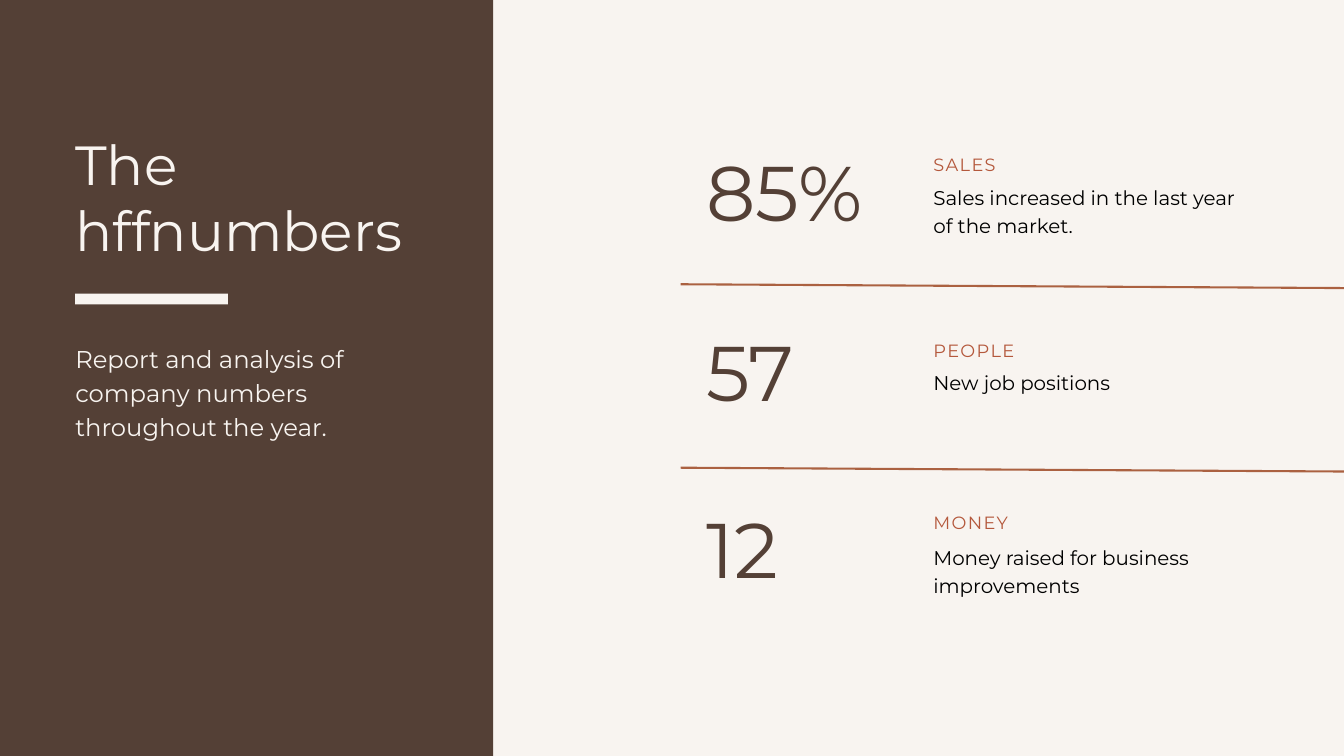
from lxml.etree import SubElement
from pptx import Presentation
from pptx.dml.color import RGBColor
from pptx.enum.shapes import MSO_CONNECTOR, MSO_SHAPE
from pptx.enum.text import MSO_AUTO_SIZE
from pptx.oxml.ns import qn
from pptx.util import Emu, Pt

PX = 9144
BROWN = RGBColor(0x54, 0x40, 0x36)
CREAM = RGBColor(0xF8, 0xF4, 0xF0)
RUST = RGBColor(0xAB, 0x61, 0x41)
TERRACOTTA = RGBColor(0xB4, 0x58, 0x3C)
BLACK = RGBColor(0, 0, 0)

LEFT_MARGIN = 112
FIGURE_LEFT = 1051
DETAIL_LEFT = 1389
RULE_LEFT, RULE_RIGHT, RULE_DROP = 1013, 2053, 6
RULE_TOPS = (423, 696)

METRICS = (
    ("85%", 192, "SALES", 221,
     "Sales increased in the last year of the market.", 271, 79),
    ("57", 459, "PEOPLE", 498, "New job positions", 546, 39),
    ("12", 722, "MONEY", 754,
     "Money raised for business improvements", 806, 79),
)


def px(*lengths):
    return [Emu(length * PX) for length in lengths]


def add_block(slide, box, color):
    block = slide.shapes.add_shape(MSO_SHAPE.RECTANGLE, *px(*box))
    block.shadow.inherit = False
    block.fill.solid()
    block.fill.fore_color.rgb = color
    block.line.fill.background()


def add_text(slide, box, text, size, leading, color, tracking=None):
    frame = slide.shapes.add_textbox(*px(*box)).text_frame
    frame.margin_left = frame.margin_top = 0
    frame.margin_right = frame.margin_bottom = 0
    frame.word_wrap = True
    frame.auto_size = MSO_AUTO_SIZE.SHAPE_TO_FIT_TEXT
    paragraph = frame.paragraphs[0]
    run = paragraph.add_run()
    run.text = text
    if tracking:
        run._r.get_or_add_rPr().set("spc", str(tracking))
    paragraph.line_spacing = Pt(leading)
    paragraph.font.name = "Montserrat"
    paragraph.font.size = Pt(size)
    paragraph.font.color.rgb = color


def add_rule(slide, top):
    rule = slide.shapes.add_connector(
        MSO_CONNECTOR.STRAIGHT,
        *px(RULE_LEFT, top, RULE_RIGHT, top + RULE_DROP))
    rule.line.color.rgb = RUST
    rule.line.width = Pt(2.25)
    SubElement(rule._element.spPr, qn("a:effectLst"))


def add_metric(slide, figure, figure_top, label, label_top,
               detail, detail_top, detail_height):
    add_text(slide, (FIGURE_LEFT, figure_top, 345, 150),
             figure, 82.9, 116.1, BROWN)
    add_text(slide, (DETAIL_LEFT, detail_top, 477, detail_height),
             detail, 21.3, 29.8, BLACK)
    add_text(slide, (DETAIL_LEFT, label_top, 380, 37),
             label, 19, 28.2, TERRACOTTA, tracking=150)


def main():
    presentation = Presentation()
    presentation.slide_width, presentation.slide_height = px(2000, 1125)
    slide = presentation.slides.add_slide(presentation.slide_layouts[6])
    slide.background.fill.solid()
    slide.background.fill.fore_color.rgb = CREAM

    add_block(slide, (-65, -68, 799, 1258), BROWN)
    add_block(slide, (LEFT_MARGIN, 437, 227, 16), CREAM)
    add_text(slide, (LEFT_MARGIN, 194, 584, 194),
             "The hffnumbers", 59, 70.8, CREAM)
    add_text(slide, (LEFT_MARGIN, 505, 481, 148),
             "Report and analysis of company numbers throughout the year.",
             26, 36.4, CREAM)
    for top in RULE_TOPS:
        add_rule(slide, top)
    for metric in METRICS:
        add_metric(slide, *metric)

    presentation.save("out.pptx")


if __name__ == "__main__":
    main()
